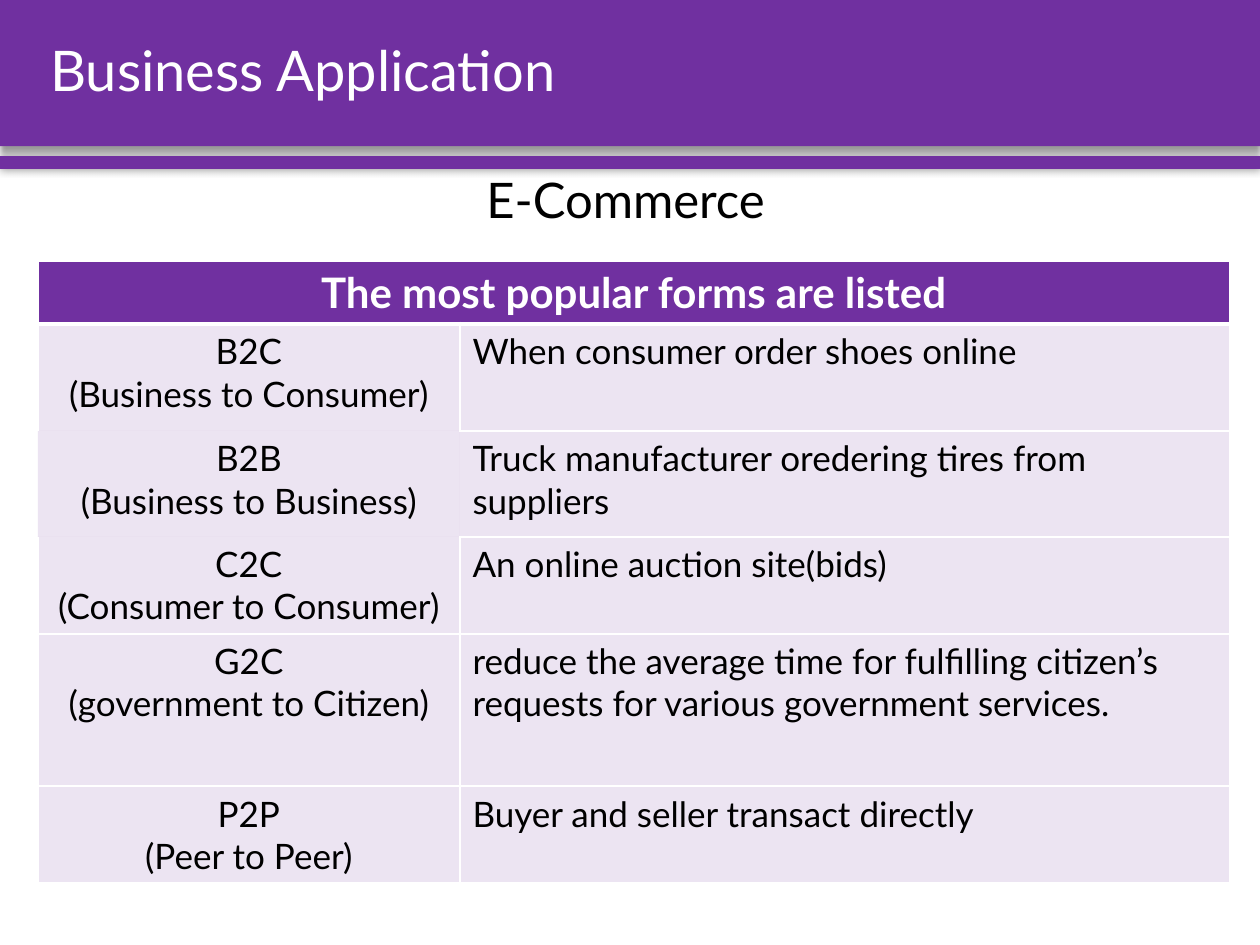
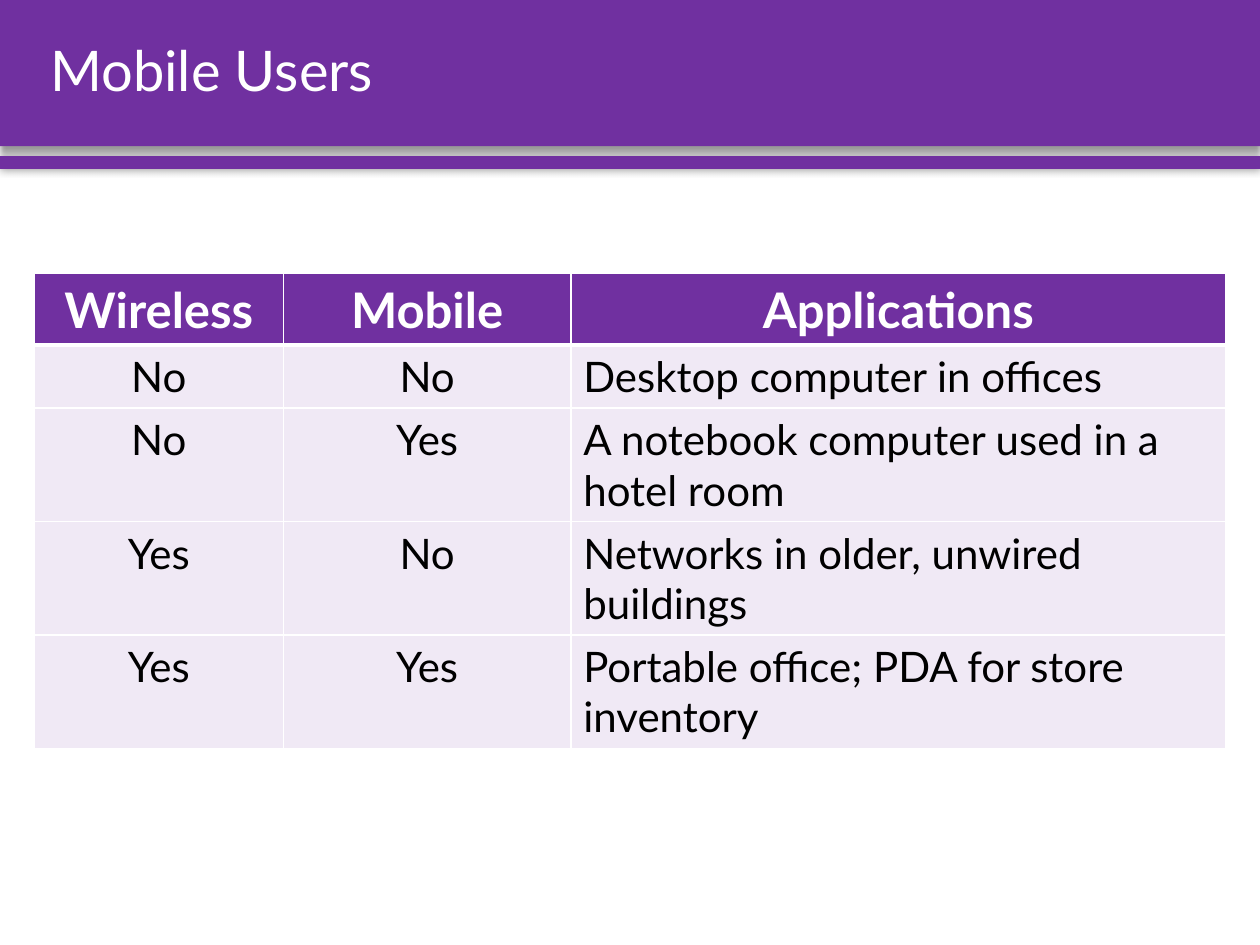
from dataclasses import dataclass

from lxml import etree
from pptx import Presentation
from pptx.dml.color import RGBColor
from pptx.enum.shapes import MSO_SHAPE
from pptx.enum.text import MSO_ANCHOR, PP_ALIGN
from pptx.oxml.ns import qn
from pptx.util import Inches, Pt

RECT = MSO_SHAPE.RECTANGLE
TOP, MIDDLE = MSO_ANCHOR.TOP, MSO_ANCHOR.MIDDLE
LEFT, CENTER = PP_ALIGN.LEFT, PP_ALIGN.CENTER


@dataclass(frozen=True)
class Theme:
    purple: str = "7030A0"
    white: str = "FFFFFF"
    black: str = "000000"
    font: str = "Lato"
    title: int = 32
    subtitle: int = 28
    line_spacing: float = 0.9
    grid: int = 1
    header_rule: int = 3


@dataclass(frozen=True)
class Band:
    top: float
    height: float
    blur: int
    distance: int
    angle: int


@dataclass(frozen=True)
class TableSpec:
    left: float
    top: float
    cols: tuple[float, ...]
    row_heights: tuple[float, ...]
    rows: tuple[tuple[str, ...], ...]
    header_size: int
    body_size: int
    tint: int
    borderless: tuple[tuple[int, int], ...] = ()


THEME = Theme()
BANDS = (Band(0, 1.16, 4, 3, 90), Band(1.24, 0.1, 5, 0, 0))

COMMERCE = TableSpec(
    left=0.3,
    top=2.07,
    cols=(3.35, 6.11),
    row_heights=(0.48, 0.85, 0.84, 0.77, 1.21, 0.77),
    rows=(
        ("The most popular forms are listed",),
        ("B2C\n(Business to Consumer)", "When consumer order shoes online"),
        ("B2B\n(Business to Business)",
         "Truck manufacturer oredering tires from suppliers"),
        ("C2C\n(Consumer to Consumer)", "An online auction site(bids)"),
        ("G2C\n(government to Citizen)",
         "reduce the average time for fulfilling citizen’s requests "
         "for various government services."),
        ("P2P\n(Peer to Peer)", "Buyer and seller transact directly"),
    ),
    header_size=24,
    body_size=20,
    tint=13,
    borderless=((2, 0),),
)

MOBILE = TableSpec(
    left=0.27,
    top=2.17,
    cols=(1.98, 2.28, 5.2),
    row_heights=(0.56, 0.5, 0.9, 0.9, 0.9),
    rows=(
        ("Wireless", "Mobile", "Applications"),
        ("No", "No", "Desktop computer in offices"),
        ("No", "Yes", "A notebook computer used in a hotel room"),
        ("Yes", "No", "Networks in older, unwired buildings"),
        ("Yes", "Yes", "Portable office; PDA for store inventory"),
    ),
    header_size=28,
    body_size=24,
    tint=10,
)


def rgb(color: str) -> RGBColor:
    return RGBColor.from_string(color)


def add_color(parent, color: str, alpha: int = 100) -> None:
    clr = etree.SubElement(parent, qn("a:srgbClr"), val=color)
    if alpha < 100:
        etree.SubElement(clr, qn("a:alpha"), val=str(alpha * 1000))


def write_text(tf, text: str, *, size: int, color: str, align=LEFT,
               bold: bool = False, spacing: float = 1.0) -> None:
    tf.text = text
    for p in tf.paragraphs:
        p.alignment = align
        p.line_spacing = spacing
        for r in p.runs:
            r.font.name = THEME.font
            r.font.size = Pt(size)
            r.font.bold = bold
            r.font.color.rgb = rgb(color)


def add_text(s, text: str, left: float, top: float, width: float, height: float,
             *, anchor=TOP, **text_format) -> None:
    tf = s.shapes.add_textbox(
        Inches(left), Inches(top), Inches(width), Inches(height)).text_frame
    tf.word_wrap = True
    tf.vertical_anchor = anchor
    write_text(tf, text, spacing=THEME.line_spacing, **text_format)


def add_band(s, band: Band, width: int) -> None:
    sp = s.shapes.add_shape(RECT, 0, Inches(band.top), width, Inches(band.height))
    sp.fill.solid()
    sp.fill.fore_color.rgb = rgb(THEME.purple)
    sp.line.fill.background()
    sp.shadow.inherit = False
    effects = sp._element.spPr.find(qn("a:effectLst"))
    shadow = etree.SubElement(
        effects, qn("a:outerShdw"), blurRad=str(Pt(band.blur)),
        dist=str(Pt(band.distance)), dir=str(band.angle * 60000),
        algn="ctr", rotWithShape="0")
    add_color(shadow, THEME.black, 40)


def add_slide(prs, title: str):
    s = prs.slides.add_slide(prs.slide_layouts[6])
    for band in BANDS:
        add_band(s, band, prs.slide_width)
    add_text(s, title, 0.3, 0, 9.46, 1.16, anchor=MIDDLE,
             size=THEME.title, color=THEME.white)
    return s


def set_borders(cell, row: int, col: int, spec: TableSpec) -> None:
    tc_pr = cell._tc.get_or_add_tcPr()
    sides = (("L", 0, -1), ("R", 0, 1), ("T", -1, 0), ("B", 1, 0))
    for index, (side, dr, dc) in enumerate(sides):
        neighbour = (row + dr, col + dc)
        under_header = (row, side) in ((0, "B"), (1, "T"))
        weight = THEME.header_rule if under_header else THEME.grid
        ln = etree.Element(qn(f"a:ln{side}"), w=str(Pt(weight)))
        if (row, col) in spec.borderless or neighbour in spec.borderless:
            etree.SubElement(ln, qn("a:noFill"))
        else:
            add_color(etree.SubElement(ln, qn("a:solidFill")), THEME.white)
        tc_pr.insert(index, ln)


def fill_cell(cell, alpha: int) -> None:
    tc_pr = cell._tc.get_or_add_tcPr()
    add_color(etree.SubElement(tc_pr, qn("a:solidFill")), THEME.purple, alpha)


def add_grid(s, spec: TableSpec) -> None:
    n_rows, n_cols = len(spec.rows), len(spec.cols)
    table = s.shapes.add_table(
        n_rows, n_cols, Inches(spec.left), Inches(spec.top),
        Inches(sum(spec.cols)), Inches(sum(spec.row_heights))).table
    table.horz_banding = False
    for column, width in zip(table.columns, spec.cols):
        column.width = Inches(width)
    for row, height in zip(table.rows, spec.row_heights):
        row.height = Inches(height)
    for i, texts in enumerate(spec.rows):
        header = i == 0
        if len(texts) < n_cols:
            table.cell(i, 0).merge(table.cell(i, n_cols - 1))
        for j in range(n_cols):
            cell = table.cell(i, j)
            fill_cell(cell, 100 if header else spec.tint)
            set_borders(cell, i, j, spec)
        for j, text in enumerate(texts):
            write_text(
                table.cell(i, j).text_frame, text,
                size=spec.header_size if header else spec.body_size,
                color=THEME.white if header else THEME.black,
                align=CENTER if header or j < n_cols - 1 else LEFT,
                bold=header)


def main() -> None:
    prs = Presentation()
    prs.slide_width, prs.slide_height = Inches(10), Inches(7.5)

    s = add_slide(prs, "Business Application")
    add_text(s, "E-Commerce", 0.23, 1.35, 9.47, 5.46, align=CENTER,
             size=THEME.subtitle, color=THEME.black)
    add_grid(s, COMMERCE)

    s = add_slide(prs, "Mobile Users")
    add_grid(s, MOBILE)

    prs.save("out.pptx")


if __name__ == "__main__":
    main()
